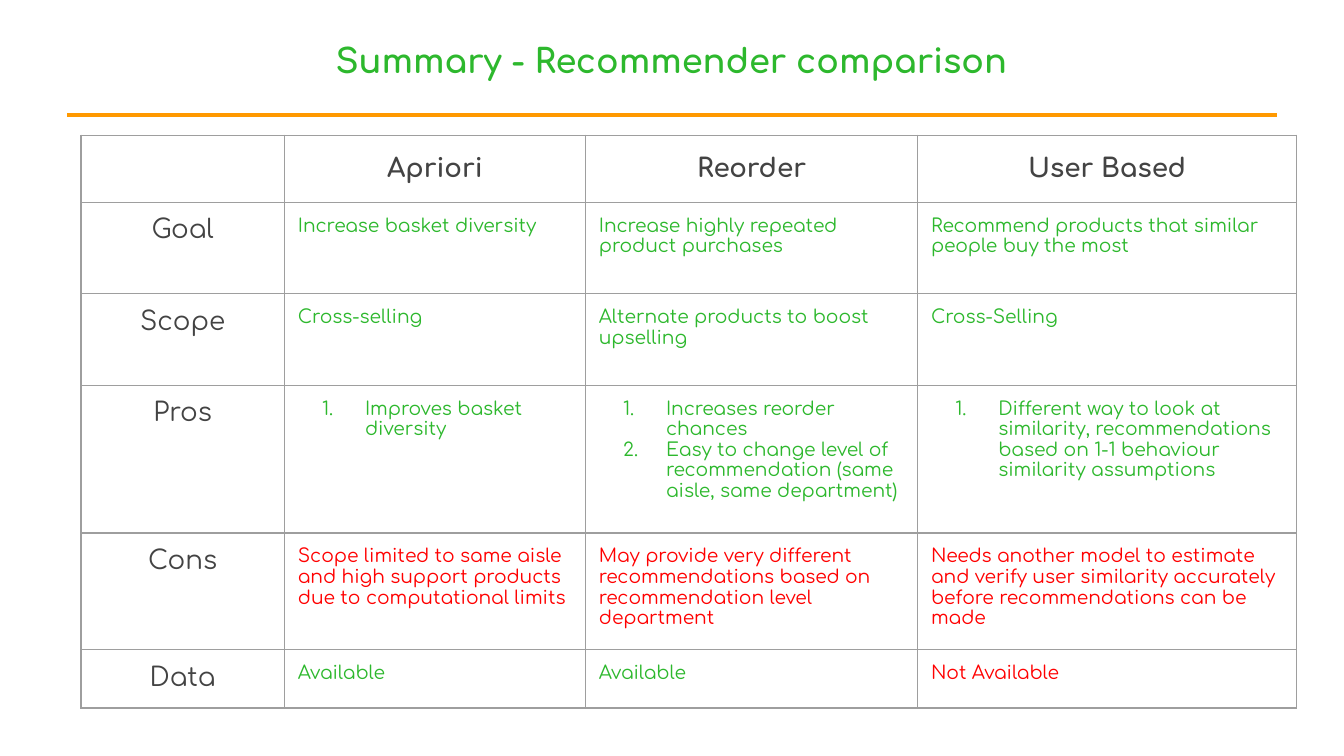
from dataclasses import dataclass
from typing import Optional

from lxml.etree import SubElement
from pptx import Presentation
from pptx.dml.color import RGBColor
from pptx.enum.shapes import MSO_CONNECTOR
from pptx.enum.text import MSO_ANCHOR, PP_ALIGN
from pptx.oxml.ns import qn
from pptx.util import Pt

FONT = "Comfortaa"
GREEN, RED, GRAY, ORANGE, BORDER = "2DB82D", "FF0000", "434343", "FF9900", "9E9E9E"
INSET = 7.2
COLUMN_WIDTHS = (109, 161.25, 178, 203)
RECOMMENDERS = ("", "Apriori", "Reorder", "User Based")
HEADER_HEIGHT = 28.1


@dataclass(frozen=True)
class Criterion:
    """One comparison row, with a verdict and colour for each recommender."""
    label: str
    height: float
    verdicts: tuple[str, str, str]
    colors: tuple[str, str, str] = (GREEN, GREEN, GREEN)
    numbered: bool = False


CRITERIA = (
    Criterion("Goal", 49, (
        "Increase basket diversity",
        "Increase highly repeated product purchases",
        "Recommend products that similar people buy the most")),
    Criterion("Scope", 49, (
        "Cross-selling",
        "Alternate products to boost upselling",
        "Cross-Selling")),
    Criterion("Pros", 79.2, (
        "Improves basket diversity",
        "Increases reorder chances\n"
        "Easy to change level of recommendation (same aisle, same department)",
        "Different way to look at similarity, recommendations based on 1-1 "
        "behaviour similarity assumptions"), numbered=True),
    Criterion("Cons", 26.6, (
        "Scope limited to same aisle and high support products due to "
        "computational limits",
        "May provide very different recommendations based on recommendation "
        "level department",
        "Needs another model to estimate and verify user similarity accurately "
        "before recommendations can be made"), (RED, RED, RED)),
    Criterion("Data", 26.6, ("Available", "Available", "Not Available"),
              (GREEN, GREEN, RED)),
)


def rgb(value: str) -> RGBColor:
    """Turn a hex string into a colour."""
    return RGBColor.from_string(value)


def number_paragraph(paragraph, color: str) -> None:
    """Give a paragraph a hanging automatic number."""
    properties = paragraph._p.get_or_add_pPr()
    properties.set("marL", str(Pt(36)))
    properties.set("indent", str(Pt(-23)))
    bullet_color = SubElement(properties, qn("a:buClr"))
    SubElement(bullet_color, qn("a:srgbClr"), val=color)
    SubElement(properties, qn("a:buAutoNum"), type="arabicPeriod")


def write_text(frame, text: str, *, size: float, color: str, bold: bool = False,
               align: Optional[PP_ALIGN] = PP_ALIGN.LEFT,
               numbered: bool = False) -> None:
    """Write each line of text as a formatted paragraph."""
    frame.word_wrap = True
    for index, line in enumerate(text.split("\n")):
        paragraph = frame.add_paragraph() if index else frame.paragraphs[0]
        paragraph.alignment = align
        if numbered:
            number_paragraph(paragraph, color)
        run = paragraph.add_run()
        run.text = line
        run.font.name = FONT
        run.font.size = Pt(size)
        run.font.bold = bold
        run.font.color.rgb = rgb(color)


def style_cell(cell, anchor: MSO_ANCHOR) -> None:
    """Set the margins, anchor, borders and empty fill of a cell."""
    cell.margin_left = cell.margin_right = Pt(INSET)
    cell.margin_top = cell.margin_bottom = Pt(INSET)
    cell.vertical_anchor = anchor
    properties = cell._tc.get_or_add_tcPr()
    for side in ("L", "R", "T", "B"):
        edge = SubElement(properties, qn(f"a:ln{side}"), w=str(Pt(0.75)))
        fill = SubElement(edge, qn("a:solidFill"))
        SubElement(fill, qn("a:srgbClr"), val=BORDER)
        SubElement(edge, qn("a:prstDash"), val="solid")
    cell.fill.background()


def draw_heading(slide, text: str) -> None:
    """Draw the slide title and the rule below it."""
    title = slide.shapes.add_textbox(Pt(72.7), Pt(14.4), Pt(574), Pt(51)).text_frame
    title.margin_left = title.margin_right = Pt(INSET)
    title.margin_top = title.margin_bottom = Pt(INSET)
    write_text(title, text, size=18, color=GREEN, bold=True, align=PP_ALIGN.CENTER)
    rule = slide.shapes.add_connector(
        MSO_CONNECTOR.STRAIGHT, Pt(36), Pt(61.7), Pt(684), Pt(61.7))
    rule.line.color.rgb = rgb(ORANGE)
    rule.line.width = Pt(2.25)
    SubElement(rule._element.spPr, qn("a:effectLst"))


def draw_comparison(slide, criteria: tuple[Criterion, ...]) -> None:
    """Draw the table that compares the recommenders."""
    heights = (HEADER_HEIGHT, *(criterion.height for criterion in criteria))
    table = slide.shapes.add_table(
        len(heights), len(COLUMN_WIDTHS), Pt(43.4), Pt(72.4),
        Pt(sum(COLUMN_WIDTHS)), Pt(sum(heights))).table
    table.first_row = table.horz_banding = False
    for column, width in zip(table.columns, COLUMN_WIDTHS):
        column.width = Pt(width)
    for row, height in zip(table.rows, heights):
        row.height = Pt(height)

    for column, recommender in enumerate(RECOMMENDERS):
        cell = table.cell(0, column)
        style_cell(cell, MSO_ANCHOR.MIDDLE)
        if recommender:
            write_text(cell.text_frame, recommender, size=14, color=GRAY,
                       bold=True, align=PP_ALIGN.CENTER)

    for row, criterion in enumerate(criteria, start=1):
        label = table.cell(row, 0)
        style_cell(label, MSO_ANCHOR.TOP)
        write_text(label.text_frame, criterion.label, size=14, color=GRAY,
                   align=PP_ALIGN.CENTER)
        verdicts = zip(criterion.verdicts, criterion.colors)
        for column, (verdict, color) in enumerate(verdicts, start=1):
            cell = table.cell(row, column)
            style_cell(cell, MSO_ANCHOR.TOP)
            write_text(cell.text_frame, verdict, size=10, color=color,
                       numbered=criterion.numbered)


def main() -> None:
    """Build and save the recommender summary."""
    presentation = Presentation()
    presentation.slide_width, presentation.slide_height = Pt(720), Pt(405)
    slide = presentation.slides.add_slide(presentation.slide_layouts[6])
    draw_heading(slide, "Summary - Recommender comparison")
    draw_comparison(slide, CRITERIA)
    presentation.save("out.pptx")


if __name__ == "__main__":
    main()
